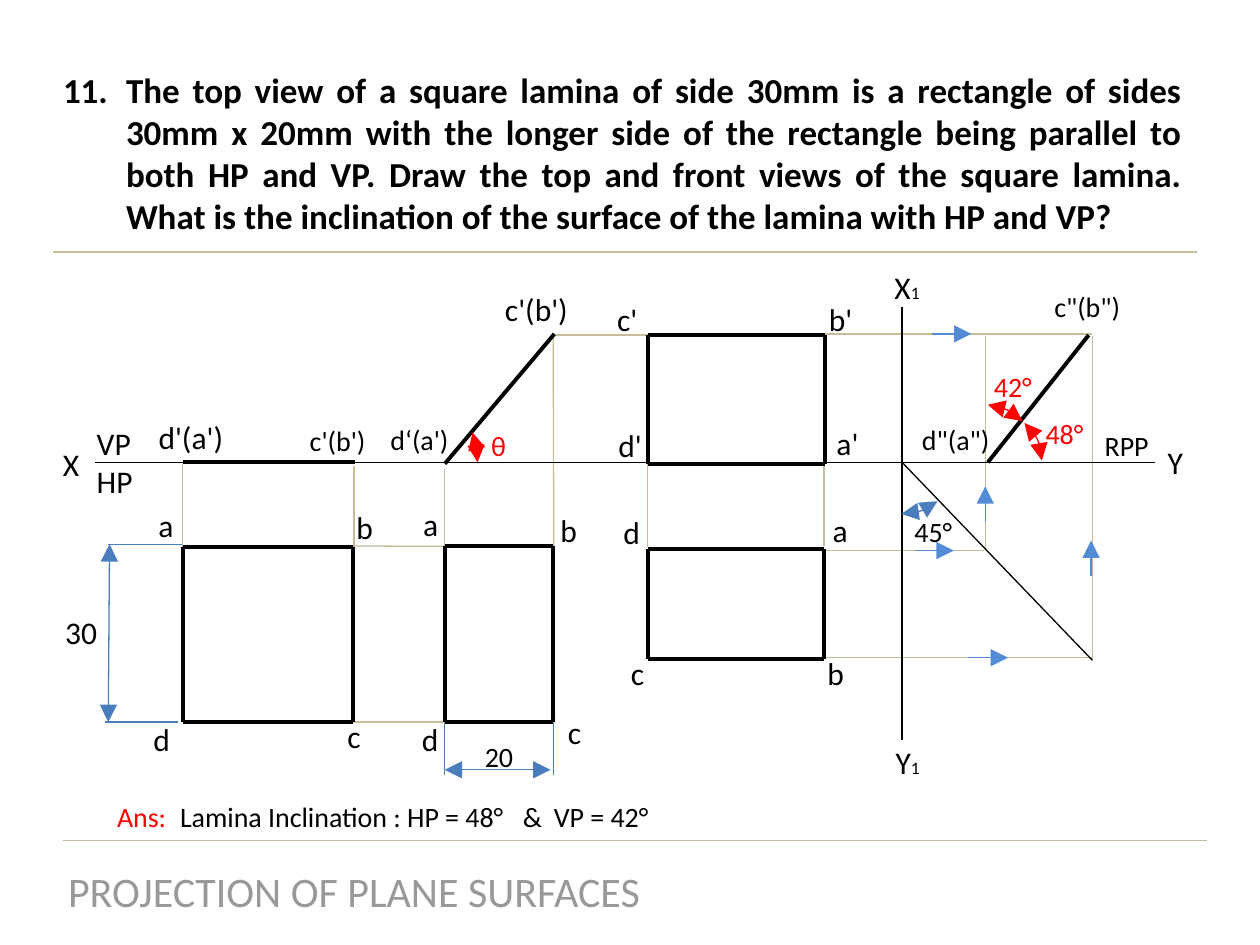
from dataclasses import dataclass

from lxml import etree
from pptx import Presentation
from pptx.dml.color import RGBColor
from pptx.enum.shapes import MSO_CONNECTOR, MSO_SHAPE
from pptx.enum.text import MSO_ANCHOR, MSO_AUTO_SIZE, PP_ALIGN
from pptx.oxml.ns import qn
from pptx.util import Pt

STRAIGHT = MSO_CONNECTOR.STRAIGHT
ARC = MSO_SHAPE.ARC
TOP, MIDDLE = MSO_ANCHOR.TOP, MSO_ANCHOR.MIDDLE
NO_FIT = MSO_AUTO_SIZE.NONE
CENTER, JUSTIFY, LEFT = PP_ALIGN.CENTER, PP_ALIGN.JUSTIFY, PP_ALIGN.LEFT
FONT = "Calibri"
BLACK, RED, GREY = "000000", "FF0000", "999999"
TAN, BLUE, SKY = "C4BD97", "4A7DBB", "538CD5"
THIN, THICK = 0.75, 2.25


@dataclass
class Pen:
    color: str
    width: float = THIN
    ends: tuple = ()


@dataclass
class Angle:
    left: float
    top: float
    width: float
    height: float
    rotation: float
    start: float
    color: str


@dataclass
class Label:
    text: str
    left: float
    top: float
    width: float
    size: int = 18
    color: str = BLACK


GUIDE, AXIS, EDGE = Pen(TAN), Pen(BLACK), Pen(BLACK, THICK)
EXTENSION = Pen(BLUE)
DIMENSION = Pen(BLUE, ends=("headEnd", "tailEnd"))
FLOW = Pen(SKY, ends=("headEnd",))

LINES = [
    (EXTENSION, [(316.1, 403.2, 316.1, 442.8), (254.2, 403.9, 254.2, 442.8),
                 (61.9, 311, 104.4, 311), (59.8, 412.6, 101.5, 412.6)]),
    (GUIDE, [(689.8, 480.2, 36, 480.2), (684, 144, 30.2, 144),
             (202.3, 313.2, 202.3, 266.4), (104.4, 312.5, 104.4, 265),
             (316.8, 413.3, 316.1, 191.5), (254.2, 411.1, 254.2, 267.8),
             (201.6, 412.6, 316.8, 412.6), (201.6, 312, 316.1, 312.5),
             (469.4, 191.5, 317.5, 191.5), (370.1, 312.5, 370.1, 191.5),
             (470.9, 311.8, 470.9, 190.8), (468, 314.6, 562.3, 314.6),
             (470.9, 375.8, 624.2, 375.8), (471.6, 190.8, 624.2, 190.8),
             (563, 192.2, 563, 313.2), (624.2, 192.2, 624.2, 377.3)]),
    (AXIS, [(660.2, 264.2, 54, 264.2), (515.5, 422.6, 515.5, 175.7),
            (624.2, 377.3, 515.5, 264.2)]),
    (EDGE, [(203, 264.2, 104.4, 264.2), (316.8, 190.8, 254.2, 265),
            (622.1, 191.5, 564.5, 264.2)]),
    (DIMENSION, [(62.6, 311, 61.9, 412.6), (314.6, 439.9, 254.2, 439.9)]),
    (FLOW, [(545, 314.6, 522.7, 314.6), (576, 375.8, 553, 375.8),
            (563, 277.9, 563, 298.1), (623.5, 308.9, 623.5, 329),
            (555.1, 190.8, 532.8, 190.8)]),
]
VIEWS = [(104.4, 312.5, 201.6, 412.6), (254.2, 312.2, 316.1, 412.6),
         (370.1, 313.9, 470.9, 376.6), (370.1, 191.5, 471.2, 265)]
ANGLES = [
    Angle(254.2, 240.5, 18.7, 47.5, 0, 174.47, RED),
    Angle(494.6, 246.2, 41, 54, 90, 181.63, BLUE),
    Angle(549.4, 228.2, 41, 54, 314.5, 181.63, RED),
    Angle(547.9, 236.9, 47.5, 52.6, 0, 181.63, RED),
]
LABELS = [
    Label("X", 28.8, 250.6, 25), Label("Y", 660.2, 249.8, 25),
    Label("VP\nHP", 48.2, 239, 36), Label("30", 30.2, 347, 34),
    Label("θ", 273.6, 241.2, 40, 16, RED),
    Label("a", 83.5, 285.8, 25), Label("b", 196.6, 286.6, 25),
    Label("c", 191.5, 406.1, 25), Label("d", 80.6, 408.2, 25),
    Label("a", 234.7, 285.1, 25), Label("b", 313.2, 288.7, 25),
    Label("c", 317.5, 403.9, 25), Label("d", 234, 408.2, 25),
    Label("a", 468.7, 288.7, 25), Label("b", 465.8, 370.1, 25),
    Label("c", 353.5, 370.1, 25), Label("d", 349.2, 289.4, 25),
    Label("a'", 470.9, 239, 29), Label("b'", 466.6, 167.8, 29),
    Label("c'", 345.6, 167.8, 38), Label("d'", 346.3, 239.8, 38),
    Label("d'(a')", 83.5, 235.4, 54), Label("c'(b')", 281.5, 162, 53),
    Label("c'(b')", 169.9, 238.3, 49, 16), Label("d‘(a')", 216, 238.1, 51, 16),
    Label('d"(a")', 519.8, 238.1, 56, 16), Label('c"(b")', 595.4, 162, 55, 16),
    Label("45°", 515.5, 290.2, 41, 16), Label("48°", 590.4, 234.7, 41, 16, RED),
    Label("42°", 560.9, 207.4, 41, 16, RED), Label("20", 270, 419, 33, 16),
    Label("RPP", 624.2, 241.2, 42, 16),
]
QUESTION = (
    "The top view of a square lamina of side 30mm is a rectangle of sides "
    "30mm x 20mm with the longer side of the rectangle being parallel to "
    "both HP and VP. Draw the top and front views of the square lamina. "
    "What is the inclination of the surface of the lamina with HP and VP?"
)


def paint(target, color: str) -> None:
    target.rgb = RGBColor.from_string(color)


def style_line(shape, pen: Pen) -> None:
    paint(shape.line.color, pen.color)
    shape.line.width = Pt(pen.width)
    outline = shape.line._get_or_add_ln()
    for end in pen.ends:
        etree.SubElement(outline, qn(f"a:{end}"), type="triangle", w="lg", len="lg")


def draw_line(page, pen: Pen, points: tuple) -> None:
    line = page.shapes.add_connector(STRAIGHT, *map(Pt, points))
    style_line(line, pen)
    etree.SubElement(line._element.spPr, qn("a:effectLst"))


def draw_view(page, view: tuple) -> None:
    left, top, right, bottom = view
    for side in [(left, top, right, top), (right, top, right, bottom),
                 (right, bottom, left, bottom), (left, bottom, left, top)]:
        draw_line(page, EDGE, side)


def draw_angle(page, angle: Angle) -> None:
    arc = page.shapes.add_shape(
        ARC, Pt(angle.left), Pt(angle.top), Pt(angle.width), Pt(angle.height))
    arc.shadow.inherit = False
    arc.fill.background()
    arc.rotation = angle.rotation
    arc.adjustments[0], arc.adjustments[1] = angle.start, 0
    style_line(arc, Pen(angle.color, ends=("headEnd", "tailEnd")))


def add_span(para, text: str, size: int, color: str, bold: bool = False) -> None:
    span = para.add_run()
    span.text = text
    span.font.name, span.font.size, span.font.bold = FONT, Pt(size), bold
    paint(span.font.color, color)


def add_box(page, left: float, top: float, width: float, height: float):
    box = page.shapes.add_textbox(Pt(left), Pt(top), Pt(width), Pt(height))
    box.text_frame.word_wrap = True
    return box


def draw_label(page, label: Label) -> None:
    rows = label.text.split("\n")
    height = len(rows) * label.size * 1.2 + 7.2
    frame = add_box(page, label.left, label.top, label.width, height).text_frame
    for index, row in enumerate(rows):
        para = frame.add_paragraph() if index else frame.paragraphs[0]
        add_span(para, row, label.size, label.color)


def draw_axis_name(page, letter: str, left: float, top: float) -> None:
    para = add_box(page, left, top, 32, 28.8).text_frame.paragraphs[0]
    add_span(para, letter, 18, BLACK)
    add_span(para, "1", 10, BLACK)


def draw_answer(page) -> None:
    para = add_box(page, 59.8, 453.6, 330, 26.4).text_frame.paragraphs[0]
    tabs = etree.SubElement(para._p.get_or_add_pPr(), qn("a:tabLst"))
    for stop in (36, 232, 249.6):
        etree.SubElement(tabs, qn("a:tab"), pos=str(Pt(stop)), algn="l")
    para.alignment = LEFT
    add_span(para, "Ans:", 16, RED)
    add_span(para, "\tLamina Inclination : HP = 48°\t&\tVP = 42°", 16, BLACK)


def place(holder, bounds: tuple, anchor):
    holder.left, holder.top, holder.width, holder.height = map(Pt, bounds)
    frame = holder.text_frame
    frame.word_wrap, frame.auto_size, frame.vertical_anchor = True, NO_FIT, anchor
    return frame.paragraphs[0]


def fill_placeholders(page) -> None:
    heading = place(page.shapes.title, (30.2, 491, 344.2, 36), MIDDLE)
    heading.alignment = CENTER
    add_span(heading, "PROJECTION OF PLANE SURFACES", 24, GREY)

    question = place(page.placeholders[1], (28.8, 35.3, 653.8, 104.4), TOP)
    props = question._p.get_or_add_pPr()
    props.set("marL", str(Pt(36)))
    props.set("indent", str(Pt(-36)))
    bullet_color = etree.SubElement(props, qn("a:buClr"))
    etree.SubElement(bullet_color, qn("a:srgbClr"), val=BLACK)
    etree.SubElement(props, qn("a:buFont"), typeface="+mj-lt")
    etree.SubElement(props, qn("a:buAutoNum"), type="arabicPeriod", startAt="11")
    question.alignment = JUSTIFY
    question.space_before = Pt(0)
    add_span(question, QUESTION, 20, BLACK, bold=True)


def main() -> None:
    deck = Presentation()
    deck.slide_width, deck.slide_height = Pt(720), Pt(540)
    page = deck.slides.add_slide(deck.slide_layouts[1])
    fill_placeholders(page)
    for pen, lines in LINES:
        for points in lines:
            draw_line(page, pen, points)
    for view in VIEWS:
        draw_view(page, view)
    for angle in ANGLES:
        draw_angle(page, angle)
    for label in LABELS:
        draw_label(page, label)
    draw_axis_name(page, "X", 504, 149.8)
    draw_axis_name(page, "Y", 504.7, 421.2)
    draw_answer(page)
    deck.save("out.pptx")


if __name__ == "__main__":
    main()
